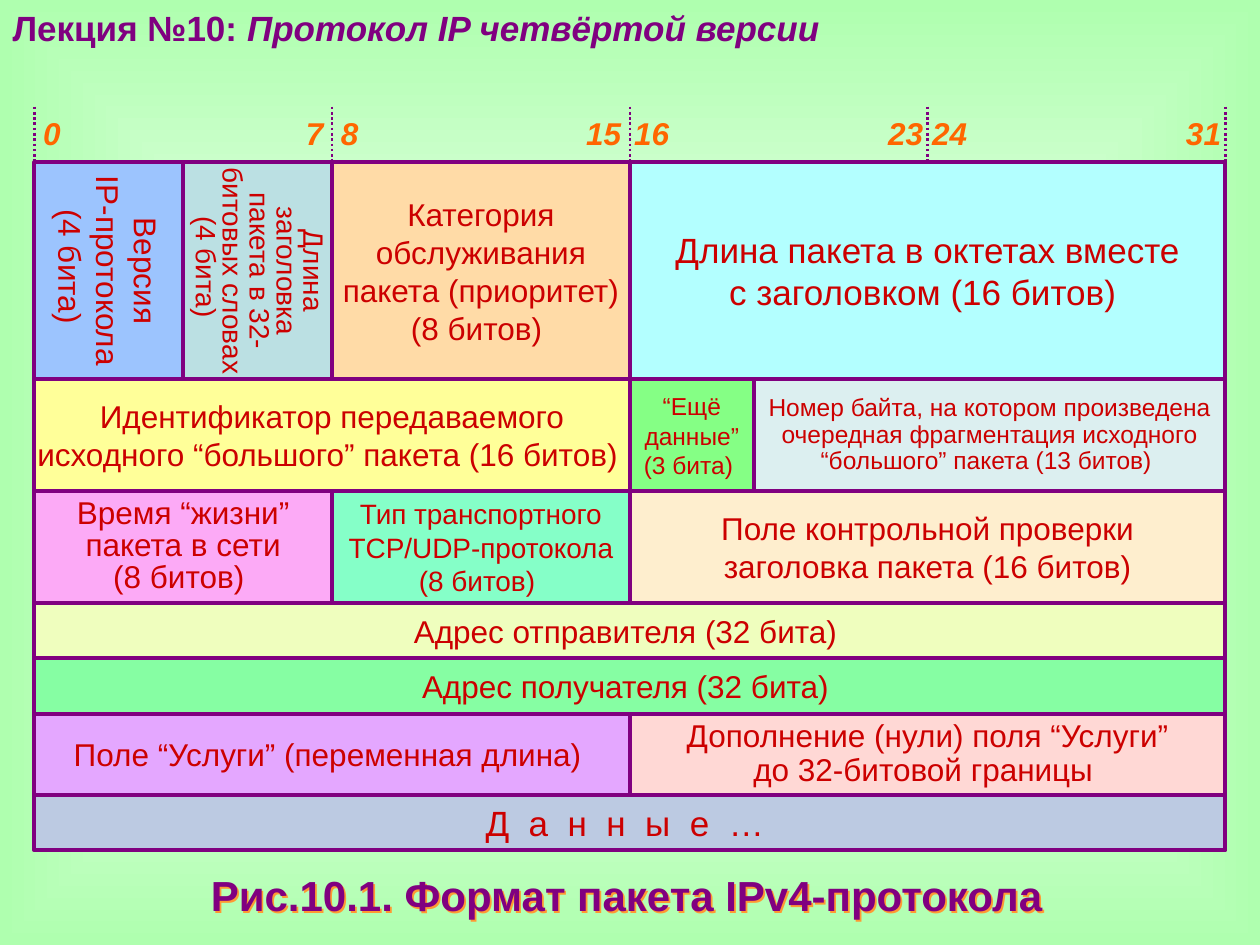
import collections
import itertools

import pptx
import pptx.dml.color
import pptx.enum.dml
import pptx.enum.shapes
import pptx.enum.text
import pptx.oxml
import pptx.oxml.ns
import pptx.util

Pt = pptx.util.Pt
RGB = pptx.dml.color.RGBColor
ALIGN = pptx.enum.text.PP_ALIGN
ANCHOR = pptx.enum.text.MSO_ANCHOR
qn = pptx.oxml.ns.qn
NS = pptx.oxml.ns.nsdecls("a")

PURPLE = RGB(0x80, 0x00, 0x80)
ORANGE = RGB(0xFF, 0x66, 0x00)
FIELD_TEXT = RGB(0xCC, 0x00, 0x00)
WHITE = RGB(0xFF, 0xFF, 0xFF)
PALE_GREEN = RGB(0xAF, 0xFF, 0xAF)

# The packet is 32 bits wide
LEFT, TOP, BIT = 19.6, 92.8, 21.27
RULER_TOP, RULER_BOTTOM = 61, 103.5

Field = collections.namedtuple("Field", "bits fill size text spacing vertical", defaults=(1, False))

# Row height and the fields of the row
ROWS = [
    (124, [
        Field(4, RGB(0x9C, 0xC4, 0xFE), 18, "Версия\nIP-протокола\n(4 бита) ", vertical=True),
        Field(4, RGB(0xBB, 0xE0, 0xE3), 16,
              "Длина заголовка пакета в 32-битовых словах\n(4 бита) ", 0.8, True),
        Field(8, RGB(0xFF, 0xDB, 0xA7), 18,
              "Категория\nобслуживания пакета (приоритет)\n(8 битов) "),
        Field(16, RGB(0xB3, 0xFF, 0xFF), 20,
              "Длина пакета в октетах вместе\nс заголовком (16 битов) "),
    ]),
    (63.8, [
        Field(16, RGB(0xFF, 0xFF, 0x99), 18,
              "Идентификатор передаваемого\nисходного “большого” пакета (16 битов) "),
        Field(3.33, RGB(0x85, 0xFF, 0x85), 14, "“Ещё\nданные”\n(3 бита) "),
        Field(12.67, RGB(0xDC, 0xEF, 0xF0), 14,
              "Номер байта, на котором произведена очередная фрагментация "
              "исходного “большого” пакета (13 битов) ", 0.9),
    ]),
    (63.8, [
        Field(8, RGB(0xFC, 0xAA, 0xF6), 18, "Время “жизни”\nпакета в сети\n(8 битов) ", 0.85),
        Field(8, RGB(0x85, 0xFF, 0xC8), 16, "Тип транспортного TCP/UDP-протокола\n(8 битов) "),
        Field(16, RGB(0xFE, 0xEE, 0xCE), 18,
              "Поле контрольной проверки\nзаголовка пакета (16 битов)"),
    ]),
    (31.8, [Field(32, RGB(0xEF, 0xFE, 0xBE), 18, "Адрес отправителя (32 бита) ")]),
    (31.8, [Field(32, RGB(0x86, 0xFE, 0xA3), 18, "Адрес получателя (32 бита) ")]),
    (46.2, [
        Field(16, RGB(0xE4, 0xA7, 0xFF), 18, "Поле “Услуги” (переменная длина) "),
        Field(16, RGB(0xFF, 0xD8, 0xD5), 18,
              "Дополнение (нули) поля “Услуги”\nдо 32-битовой границы ", 0.9),
    ]),
    (31.8, [Field(32, RGB(0xBC, 0xCA, 0xE2), 20, "Д  а  н  н  ы  е  … ")]),
]


def set_font(font, size, color, bold=False, italic=False):
    font.name = "Arial"
    font.size = Pt(size)
    font.color.rgb = color
    font.bold = bold
    font.italic = italic


def set_frame(frame, anchor, inset=0):
    frame.word_wrap = True
    frame.vertical_anchor = anchor
    frame.margin_left = frame.margin_right = Pt(inset)
    frame.margin_top = frame.margin_bottom = 0


def paint_background(slide):
    fill = slide.background.fill
    fill.gradient()
    for stop, color in zip(fill.gradient_stops, (WHITE, PALE_GREEN)):
        stop.color.rgb = color
    gradient = slide.element.find(".//" + qn("a:gradFill"))
    gradient.remove(gradient.find(qn("a:lin")))
    gradient.append(pptx.oxml.parse_xml(
        f'<a:path {NS} path="shape">'
        '<a:fillToRect l="50000" t="50000" r="50000" b="50000"/></a:path>'))


def add_heading(slide):
    heading = slide.shapes.title
    heading.left, heading.top, heading.width, heading.height = Pt(0), Pt(0), Pt(487.5), Pt(31)
    frame = heading.text_frame
    set_frame(frame, ANCHOR.TOP, 7.2)
    frame.margin_top = Pt(3.6)
    line = frame.paragraphs[0]
    line.alignment = ALIGN.LEFT
    for text, italic in (("Лекция №10: ", False), ("Протокол IP четвёртой версии", True)):
        part = line.add_run()
        part.text = text
        set_font(part.font, 20, PURPLE, True, italic)


def add_caption(slide):
    caption = slide.shapes.add_textbox(Pt(26.6), Pt(493.5), Pt(669.6), Pt(36))
    set_frame(caption.text_frame, ANCHOR.MIDDLE, 7.2)
    line = caption.text_frame.paragraphs[0]
    line.text = "Рис.10.1. Формат пакета IPv4-протокола "
    line.alignment = ALIGN.CENTER
    set_font(line.font, 24, PURPLE, True)
    caption.element.spPr.append(pptx.oxml.parse_xml(
        f'<a:effectLst {NS}><a:outerShdw dist="18000" dir="2700000">'
        '<a:srgbClr val="FF9933"/></a:outerShdw></a:effectLst>'))


def add_tick(slide, bit):
    x = Pt(LEFT + bit * BIT)
    tick = slide.shapes.add_connector(
        pptx.enum.shapes.MSO_CONNECTOR.STRAIGHT, x, Pt(RULER_TOP), x, Pt(RULER_BOTTOM))
    tick.line.color.rgb = PURPLE
    tick.line.width = Pt(1.5)
    tick.line.dash_style = pptx.enum.dml.MSO_LINE.ROUND_DOT
    tick.element.spPr.append(pptx.oxml.parse_xml(f"<a:effectLst {NS}/>"))


def add_octet_label(slide, first_bit):
    """First bit at the left edge of the octet, last bit at a right tab stop."""
    width, inset = 8 * BIT, 5 if first_bit < 16 else 2.5
    label = slide.shapes.add_textbox(
        Pt(LEFT + first_bit * BIT), Pt(RULER_TOP), Pt(width), Pt(30.5))
    set_frame(label.text_frame, ANCHOR.MIDDLE, inset)
    line = label.text_frame.paragraphs[0]
    line.text = f"{first_bit}\t{first_bit + 7}"
    line.alignment = ALIGN.LEFT
    set_font(line.font, 18, ORANGE, True, True)
    properties = line._p.get_or_add_pPr()
    properties.insert(0, pptx.oxml.parse_xml(
        f'<a:tabLst {NS}><a:tab pos="{Pt(width - 2 * inset)}" algn="r"/></a:tabLst>'))


def add_field(slide, field, first_bit, top, height):
    box = slide.shapes.add_shape(
        pptx.enum.shapes.MSO_SHAPE.RECTANGLE,
        Pt(LEFT + first_bit * BIT), Pt(top), Pt(field.bits * BIT), Pt(height))
    box.shadow.inherit = False
    box.fill.solid()
    box.fill.fore_color.rgb = field.fill
    box.line.color.rgb = PURPLE
    box.line.width = Pt(2.25)
    frame = box.text_frame
    set_frame(frame, ANCHOR.MIDDLE)
    if field.vertical:
        frame._txBody.bodyPr.set("vert", "vert")
    frame.text = field.text
    for line in frame.paragraphs:
        line.alignment = ALIGN.CENTER
        line.line_spacing = field.spacing
        set_font(line.font, field.size, FIELD_TEXT)


def main():
    deck = pptx.Presentation()
    deck.slide_width, deck.slide_height = Pt(720), Pt(540)
    slide = deck.slides.add_slide(deck.slide_layouts.get_by_name("Title Only"))
    paint_background(slide)
    add_heading(slide)
    add_caption(slide)

    # Bit ruler
    for bit in range(0, 33, 8):
        add_tick(slide, bit)
    for bit in range(0, 32, 8):
        add_octet_label(slide, bit)

    # Packet fields
    tops = itertools.accumulate((height for height, _ in ROWS), initial=TOP)
    for top, (height, fields) in zip(tops, ROWS):
        first_bit = 0
        for field in fields:
            add_field(slide, field, first_bit, top, height)
            first_bit += field.bits

    deck.save("out.pptx")


if __name__ == "__main__":
    main()
